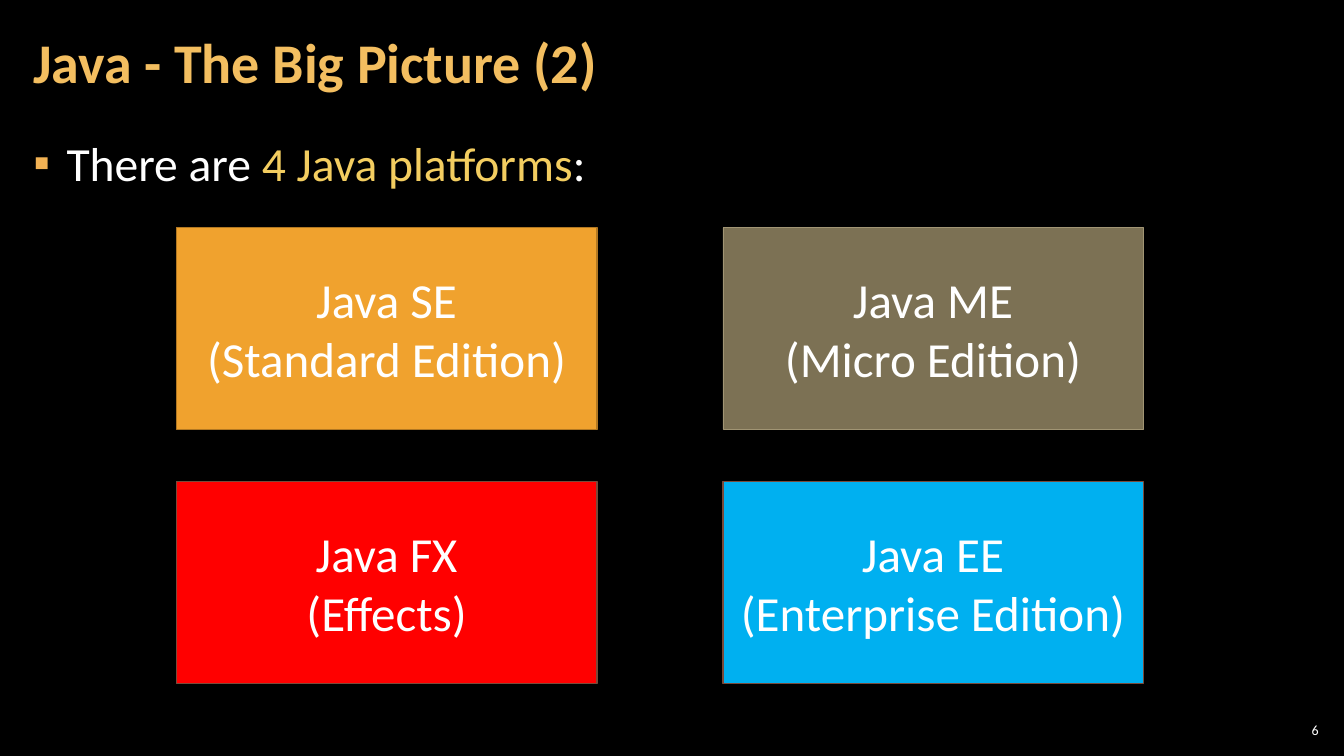
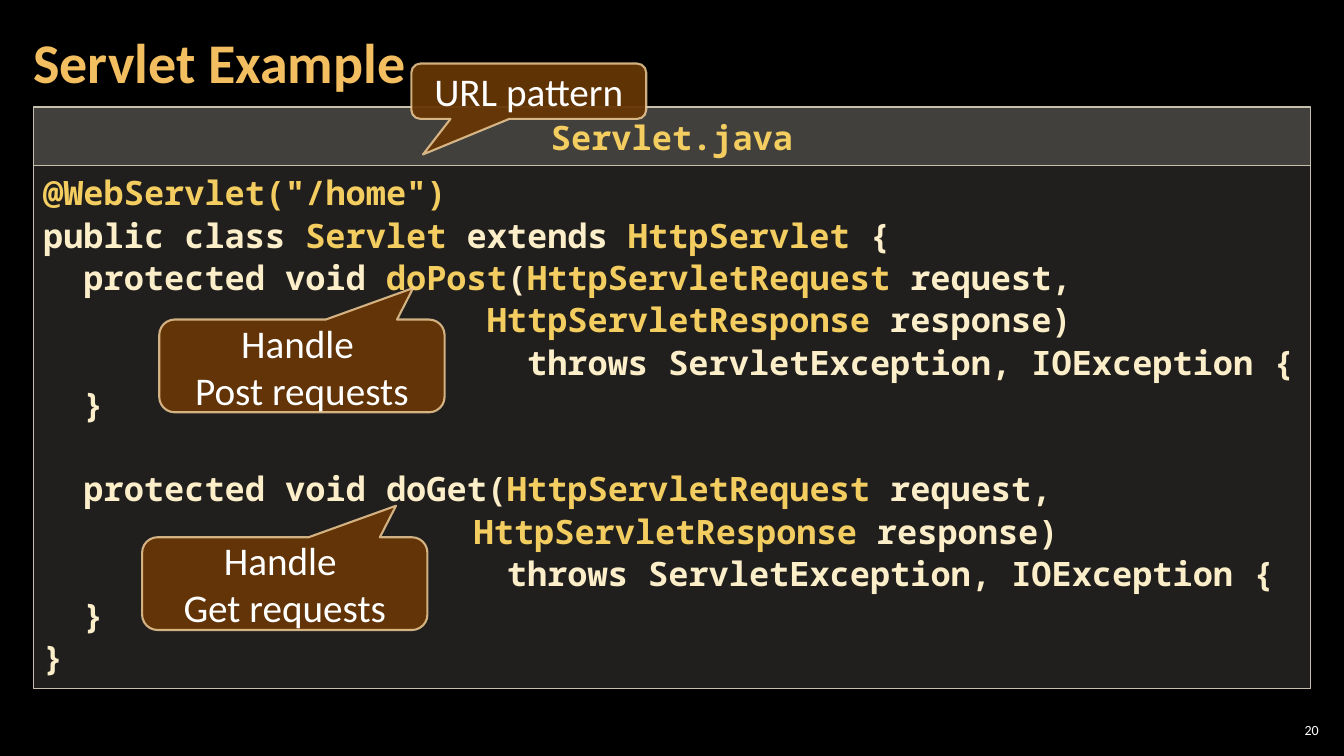
import dataclasses

import pptx
import pptx.dml.color
import pptx.enum.shapes
import pptx.enum.text
import pptx.oxml
import pptx.oxml.ns
import pptx.util

Inches = pptx.util.Inches
Pt = pptx.util.Pt
RGBColor = pptx.dml.color.RGBColor
Align = pptx.enum.text.PP_ALIGN
Anchor = pptx.enum.text.MSO_ANCHOR
Shapes = pptx.enum.shapes.MSO_SHAPE

BLACK = RGBColor(0x00, 0x00, 0x00)
WHITE = RGBColor(0xFF, 0xFF, 0xFF)
TITLE = RGBColor(0xF3, 0xBE, 0x60)
ACCENT = RGBColor(0xF3, 0xCD, 0x60)
BULLET = RGBColor(0xF2, 0xB2, 0x54)
ORANGE = RGBColor(0xF0, 0xA2, 0x2E)
ORANGE_EDGE = RGBColor(0xB2, 0x78, 0x22)
OLIVE = RGBColor(0x7C, 0x71, 0x54)
OLIVE_EDGE = RGBColor(0xA1, 0x95, 0x74)
RED = RGBColor(0xFF, 0x00, 0x00)
BLUE = RGBColor(0x00, 0xB0, 0xF0)
BROWN_EDGE = RGBColor(0x7A, 0x4A, 0x3A)
CODE = RGBColor(0xFB, 0xEE, 0xC9)
CODE_FILL = RGBColor(0xD9, 0xD5, 0xC7)
CODE_EDGE = RGBColor(0xC7, 0xBF, 0xAC)
CALLOUT_FILL = RGBColor(0x66, 0x36, 0x06)
CALLOUT_EDGE = RGBColor(0xF8, 0xD4, 0x9E)

SANS = "Calibri"
MONO = "Noto Sans Mono"


@dataclasses.dataclass(frozen=True)
class Box:
    x: float
    y: float
    w: float
    h: float


@dataclasses.dataclass(frozen=True)
class Style:
    fill: RGBColor
    edge: RGBColor
    width: float = 1
    fill_alpha: int = 100
    edge_alpha: int = 100


@dataclasses.dataclass(frozen=True)
class Platform:
    name: str
    edition: str
    style: Style


@dataclasses.dataclass(frozen=True)
class CodeLine:
    text: str
    indent: float = 0
    before: float = 0


@dataclasses.dataclass(frozen=True)
class Callout:
    text: str
    box: Box
    tip: tuple[float, float]


PLATFORMS = [
    Platform("Java SE", "Standard Edition", Style(ORANGE, ORANGE_EDGE)),
    Platform("Java ME", "Micro Edition", Style(OLIVE, OLIVE_EDGE, 0.5)),
    Platform("Java FX", "Effects", Style(RED, BROWN_EDGE)),
    Platform("Java EE", "Enterprise Edition", Style(BLUE, BROWN_EDGE)),
]

CODE_LINES = [
    CodeLine('*@WebServlet("/home")*'),
    CodeLine("public class *Servlet* extends *HttpServlet* {"),
    CodeLine("protected void *doPost*(*HttpServletRequest* request,", 0.4),
    CodeLine("*HttpServletResponse* response)", 4.4),
    CodeLine("throws ServletException, IOException {", 4.8),
    CodeLine("}", 0.4),
    CodeLine("protected void doGet(*HttpServletRequest* request,", 0.4, before=30),
    CodeLine("*HttpServletResponse* response)", 4.27),
    CodeLine("throws ServletException, IOException {", 4.6),
    CodeLine("}", 0.4),
    CodeLine("}"),
]

HANDLER_TIP = (0.39, -0.84)
CALLOUTS = [
    Callout("Handle \nPost requests", Box(1.58, 3.17, 2.83, 0.92), HANDLER_TIP),
    Callout("Handle \nGet requests", Box(1.41, 5.33, 2.83, 0.92), HANDLER_TIP),
    Callout("URL pattern", Box(4.08, 0.63, 2.33, 0.55), (-0.45, 1.14)),
]

HEADER_STYLE = Style(CODE_FILL, CODE_EDGE, fill_alpha=30)
LISTING_STYLE = Style(CODE_FILL, CODE_EDGE, fill_alpha=15)
CALLOUT_STYLE = Style(CALLOUT_FILL, CALLOUT_EDGE, 1.5, 95, 80)


def write(p, text: str, *, size: float, color: RGBColor = WHITE, font: str = SANS,
          bold: bool = False, align=Align.LEFT, spacing: float = 1.0,
          before: float = 0, after: float = 0, indent: float = 0, hanging: float = 0) -> None:
    p.alignment = align
    p.line_spacing = spacing
    p.space_before = Pt(before)
    p.space_after = Pt(after)
    pPr = p._p.get_or_add_pPr()
    pPr.set("marL", str(Inches(indent)))
    pPr.set("indent", str(Inches(-hanging)))
    for i, part in enumerate(text.split("*")):
        for j, line in enumerate(part.split("\n")):
            if j:
                p.add_line_break()
            if line:
                r = p.add_run()
                r.text = line
                r.font.name = font
                r.font.size = Pt(size)
                r.font.bold = bold
                r.font.color.rgb = ACCENT if i % 2 else color


def place(sp, box: Box) -> None:
    sp.left, sp.top = Inches(box.x), Inches(box.y)
    sp.width, sp.height = Inches(box.w), Inches(box.h)


def frame(sp, anchor=Anchor.MIDDLE, mx: float = 0.1, my: float = 0.05):
    tf = sp.text_frame
    tf.word_wrap = True
    tf.auto_size = pptx.enum.text.MSO_AUTO_SIZE.NONE
    tf.vertical_anchor = anchor
    tf.margin_left = tf.margin_right = Inches(mx)
    tf.margin_top = tf.margin_bottom = Inches(my)
    return tf


def set_alpha(fill, percent: int) -> None:
    if percent < 100:
        color = fill._xPr.find(".//" + pptx.oxml.ns.qn("a:srgbClr"))
        alpha = color.makeelement(pptx.oxml.ns.qn("a:alpha"), {"val": str(percent * 1000)})
        color.append(alpha)


def add_shape(s, kind, box: Box, style: Style):
    sp = s.shapes.add_shape(kind, Inches(box.x), Inches(box.y), Inches(box.w), Inches(box.h))
    sp.shadow.inherit = False
    sp.fill.solid()
    sp.fill.fore_color.rgb = style.fill
    set_alpha(sp.fill, style.fill_alpha)
    sp.line.width = Pt(style.width)
    sp.line.fill.solid()
    sp.line.color.rgb = style.edge
    set_alpha(sp.line.fill, style.edge_alpha)
    return sp


def add_slide(prs, layout: int, title: str, number: int):
    s = prs.slides.add_slide(prs.slide_layouts[layout])
    place(s.shapes.title, Box(0.21, 0.04, 10.47, 1.21))
    tf = frame(s.shapes.title, mx=0.12, my=0.04)
    write(tf.paragraphs[0], title, size=40, color=TITLE, bold=True, spacing=0.9)
    sp = s.shapes.add_textbox(Inches(12.65), Inches(7.14), Inches(0.47), Inches(0.21))
    tf = frame(sp, mx=0.04, my=0.04)
    write(tf.paragraphs[0], str(number), size=10, align=Align.RIGHT)
    return s


def add_bullet(p, char: str, color: RGBColor) -> None:
    pPr = p._p.get_or_add_pPr()
    ns = pptx.oxml.ns.nsdecls("a")
    for xml in (f'<a:buClr {ns}><a:srgbClr val="{color}"/></a:buClr>',
                f'<a:buChar {ns} char="{char}"/>'):
        pPr.append(pptx.oxml.parse_xml(xml))


def platforms_slide(prs) -> None:
    s = add_slide(prs, 1, "Java - The Big Picture (2)", 6)
    body = s.placeholders[1]
    place(body, Box(0.21, 1.26, 12.91, 6.09))
    p = frame(body, Anchor.TOP, 0.12, 0.04).paragraphs[0]
    write(p, "There are *4 Java platforms*:", size=34, spacing=1.05,
          before=6, after=6, indent=0.33, hanging=0.33)
    add_bullet(p, "▪", BULLET)
    for i, platform in enumerate(PLATFORMS):
        row, col = divmod(i, 2)
        box = Box(1.75 + 5.42 * col, 2.26 + 2.52 * row, 4.17, 2)
        sp = add_shape(s, Shapes.RECTANGLE, box, platform.style)
        write(frame(sp).paragraphs[0], f"{platform.name}\n({platform.edition})",
              size=35, align=Align.CENTER)


def servlet_slide(prs) -> None:
    s = add_slide(prs, 5, "Servlet Example", 20)
    listing = add_shape(s, Shapes.RECTANGLE, Box(0.33, 1.64, 12.67, 5.19), LISTING_STYLE)
    tf = frame(listing, Anchor.TOP)
    for i, line in enumerate(CODE_LINES):
        p = tf.add_paragraph() if i else tf.paragraphs[0]
        write(p, line.text, size=24, color=CODE, font=MONO, bold=True,
              spacing=1.05, before=line.before, indent=line.indent)
    header = add_shape(s, Shapes.RECTANGLE, Box(0.33, 1.06, 12.67, 0.58), HEADER_STYLE)
    write(frame(header, Anchor.TOP, my=0.08).paragraphs[0], "Servlet.java", size=24,
          color=ACCENT, font=MONO, bold=True, align=Align.CENTER, spacing=1.05)
    for callout in CALLOUTS:
        sp = add_shape(s, Shapes.ROUNDED_RECTANGULAR_CALLOUT, callout.box, CALLOUT_STYLE)
        sp.adjustments[0], sp.adjustments[1] = callout.tip
        write(frame(sp).paragraphs[0], callout.text, size=28, align=Align.CENTER)


def main() -> None:
    prs = pptx.Presentation()
    prs.slide_width, prs.slide_height = Inches(13.33), Inches(7.5)
    fill = prs.slide_master.background.fill
    fill.solid()
    fill.fore_color.rgb = BLACK
    platforms_slide(prs)
    servlet_slide(prs)
    prs.save("out.pptx")


if __name__ == "__main__":
    main()
